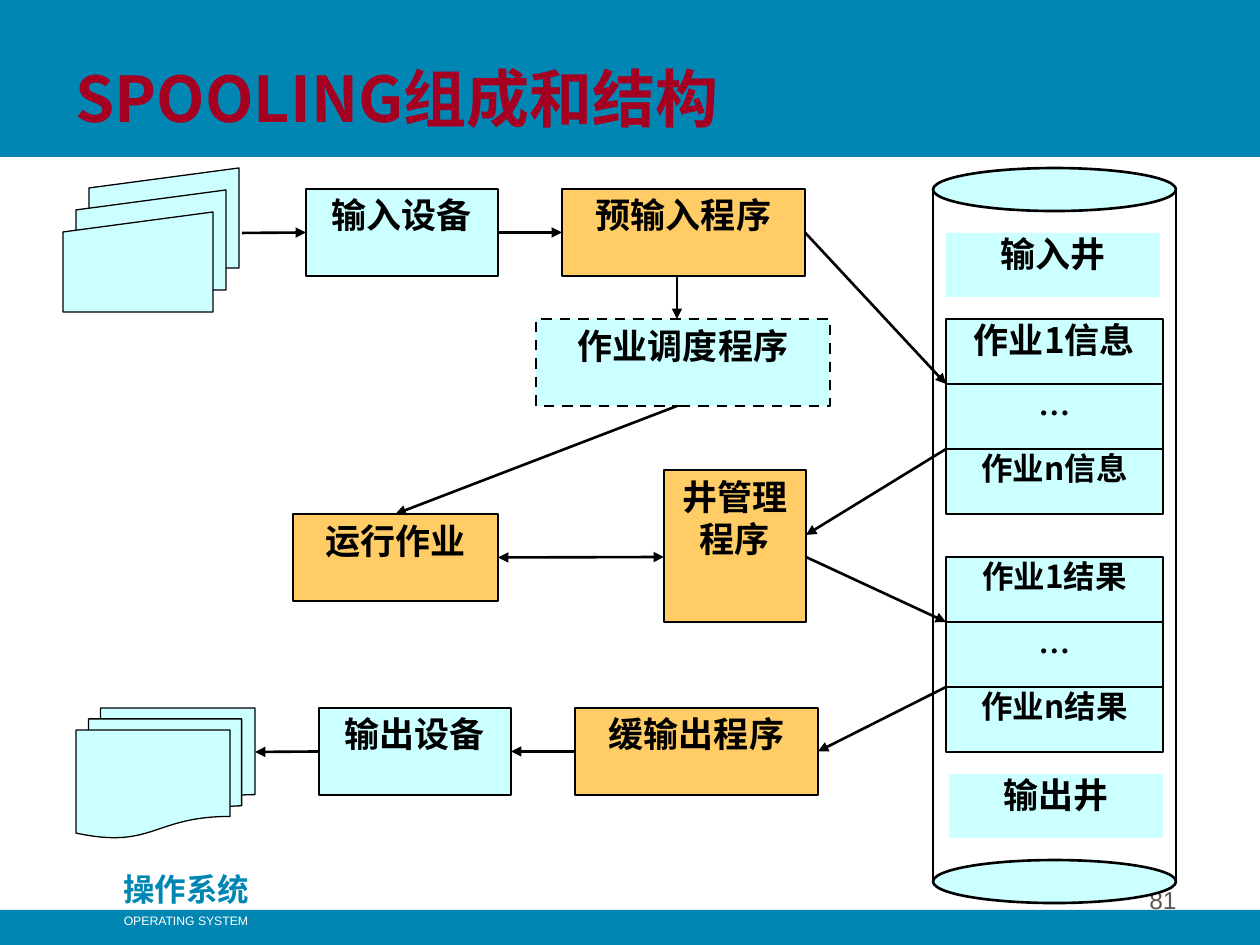
from dataclasses import dataclass
from typing import Optional

import lxml.etree
import pptx
import pptx.dml.color
import pptx.enum.dml
import pptx.enum.shapes
import pptx.enum.text
import pptx.oxml.ns
import pptx.util

PX = 914400 / 126
COLORS = {
    "bar": "0186B3",
    "process": "FFCC66",
    "data": "CCFFFF",
    "ink": "000000",
    "title": "A50021",
    "page": "5E574E",
    "white": "FFFFFF",
}
CJK = "Noto Sans CJK SC"
SHAPE = pptx.enum.shapes.MSO_SHAPE
ALIGN = pptx.enum.text.PP_ALIGN
ANCHOR = pptx.enum.text.MSO_ANCHOR
TOP, LEFT, BOTTOM, RIGHT = range(4)


@dataclass
class Style:
    size: int
    color: str = "ink"
    font: str = CJK
    bold: bool = True
    align: ALIGN = ALIGN.CENTER


@dataclass
class Block:
    x: int
    y: int
    w: int
    h: int
    fill: str
    text: str = ""
    size: int = 20
    font: str = CJK
    line: float = 1.5
    inset: int = 0
    kind: SHAPE = SHAPE.RECTANGLE
    dashed: bool = False


@dataclass
class Join:
    block: str
    side: int


@dataclass
class Arrow:
    start: tuple[int, int]
    end: tuple[int, int]
    begin_join: Optional[Join] = None
    end_join: Optional[Join] = None
    tail: bool = True
    head: bool = False


def px(value: int) -> pptx.util.Emu:
    return pptx.util.Emu(round(value * PX))


def rgb(name: str) -> pptx.dml.color.RGBColor:
    return pptx.dml.color.RGBColor.from_string(COLORS[name])


def write(frame, text: str, style: Style) -> None:
    frame.text = text
    for para in frame.paragraphs:
        para.alignment = style.align
        font = para.font
        font.size = pptx.util.Pt(style.size)
        font.bold = style.bold
        font.color.rgb = rgb(style.color)
        font.name = style.font
        defaults = para._p.pPr.find(pptx.oxml.ns.qn("a:defRPr"))
        lxml.etree.SubElement(defaults, pptx.oxml.ns.qn("a:ea"), typeface=CJK)


def add_block(page, block: Block):
    box = page.shapes.add_shape(block.kind, *map(px, (block.x, block.y, block.w, block.h)))
    box.shadow.inherit = False
    box.fill.solid()
    box.fill.fore_color.rgb = rgb(block.fill)
    if block.line:
        box.line.color.rgb = rgb("ink")
        box.line.width = pptx.util.Pt(block.line)
    else:
        box.line.fill.background()
    if block.dashed:
        box.line.dash_style = pptx.enum.dml.MSO_LINE.DASH
    if block.text:
        frame = box.text_frame
        frame.margin_left = frame.margin_right = frame.margin_bottom = 0
        frame.margin_top = px(block.inset)
        frame.vertical_anchor = ANCHOR.TOP
        frame.word_wrap = True
        write(frame, block.text, Style(block.size, font=block.font))
    return box


def add_label(page, x: int, y: int, w: int, h: int, text: str, style: Style,
              anchor: ANCHOR = ANCHOR.TOP, wrap: bool = True) -> None:
    box = page.shapes.add_textbox(*map(px, (x, y, w, h)))
    box.text_frame.word_wrap = wrap
    box.text_frame.vertical_anchor = anchor
    write(box.text_frame, text, style)


def add_arrow(page, arrow: Arrow, boxes: dict) -> None:
    line = page.shapes.add_connector(
        pptx.enum.shapes.MSO_CONNECTOR.STRAIGHT, *map(px, arrow.start + arrow.end))
    if arrow.begin_join:
        line.begin_connect(boxes[arrow.begin_join.block], arrow.begin_join.side)
    if arrow.end_join:
        line.end_connect(boxes[arrow.end_join.block], arrow.end_join.side)
    line.line.color.rgb = rgb("ink")
    line.line.width = pptx.util.Pt(1.5)
    stroke = line.line._get_or_add_ln()
    for tag, wanted in (("a:headEnd", arrow.head), ("a:tailEnd", arrow.tail)):
        if wanted:
            lxml.etree.SubElement(stroke, pptx.oxml.ns.qn(tag), type="triangle")
    lxml.etree.SubElement(line._element.spPr, pptx.oxml.ns.qn("a:effectLst"))


def add_title(page) -> None:
    title = page.shapes.title
    title.left, title.top, title.width, title.height = map(px, (63, 53, 1113, 88))
    frame = title.text_frame
    frame.auto_size = pptx.enum.text.MSO_AUTO_SIZE.NONE
    frame.vertical_anchor = ANCHOR.TOP
    write(frame, "SPOOLING组成和结构", Style(36, "title", align=ALIGN.LEFT))
    page.shapes._spTree.append(title._element)


def add_disk(page) -> None:
    for y in (168, 860):
        add_block(page, Block(933, y, 243, 43, "data", kind=SHAPE.OVAL))
    for x in (933, 1176):
        add_arrow(page, Arrow((x, 189), (x, 881), tail=False), {})
    add_block(page, Block(946, 233, 214, 64, "data", "输入井", line=0))
    add_block(page, Block(949, 774, 214, 64, "data", "输出井", line=0))
    for top, noun, first_size in ((319, "信息", 20), (557, "结果", 18)):
        rows = ((f"作业1{noun}", first_size, CJK), ("…", 18, "Times New Roman"),
                (f"作业n{noun}", 18, CJK))
        for index, (text, size, font) in enumerate(rows):
            add_block(page, Block(946, top + 65 * index, 217, 65, "data", text, size, font))


def main() -> None:
    deck = pptx.Presentation()
    deck.slide_width, deck.slide_height = px(1260), px(945)
    page = deck.slides.add_slide(deck.slide_layouts[5])

    for y, height in ((0, 157), (910, 35)):
        add_block(page, Block(0, y, 1260, height, "bar", line=0))
    add_label(page, 104, 864, 165, 50, "操作系统", Style(18, "bar"))
    add_label(page, 111, 907, 150, 28, "OPERATING SYSTEM",
              Style(7, "white", "Arial", False), wrap=False)
    add_label(page, 927, 858, 262, 63, "81",
              Style(14, "page", "Arial", False, ALIGN.RIGHT), ANCHOR.BOTTOM)
    add_title(page)
    add_disk(page)

    add_block(page, Block(76, 708, 179, 130, "data", line=0.75,
                          kind=SHAPE.FLOWCHART_MULTIDOCUMENT))
    for index in range(3):
        add_block(page, Block(89 - 13 * index, 168 + 22 * index, 150, 100, "data",
                              line=0.75, kind=SHAPE.FLOWCHART_MANUAL_INPUT))

    blocks = {
        "preload": Block(562, 189, 243, 87, "process", "预输入程序", inset=5),
        "scheduler": Block(536, 319, 294, 87, "data", "作业调度程序", inset=5, dashed=True),
        "manager": Block(664, 470, 142, 152, "process", "井管理\n程序", inset=5),
        "running": Block(293, 514, 205, 87, "process", "运行作业", inset=5),
        "input": Block(306, 189, 192, 87, "data", "输入设备", inset=5),
        "output": Block(319, 708, 192, 87, "data", "输出设备", inset=5),
        "unload": Block(575, 708, 243, 87, "process", "缓输出程序", inset=5),
    }
    boxes = {name: add_block(page, block) for name, block in blocks.items()}

    arrows = [
        Arrow((242, 233), (306, 233), end_join=Join("input", LEFT)),
        Arrow((498, 233), (562, 233), Join("input", RIGHT), Join("preload", LEFT)),
        Arrow((677, 276), (677, 319)),
        Arrow((677, 406), (396, 514), end_join=Join("running", TOP)),
        Arrow((664, 557), (498, 557), end_join=Join("running", RIGHT), head=True),
        Arrow((805, 233), (946, 384), Join("preload", RIGHT)),
        Arrow((946, 449), (806, 535)),
        Arrow((806, 557), (946, 622)),
        Arrow((946, 687), (818, 752), end_join=Join("unload", RIGHT)),
        Arrow((575, 752), (511, 752), Join("unload", LEFT), Join("output", RIGHT)),
        Arrow((319, 752), (255, 752), Join("output", LEFT)),
    ]
    for arrow in arrows:
        add_arrow(page, arrow, boxes)

    deck.save("out.pptx")


if __name__ == "__main__":
    main()
